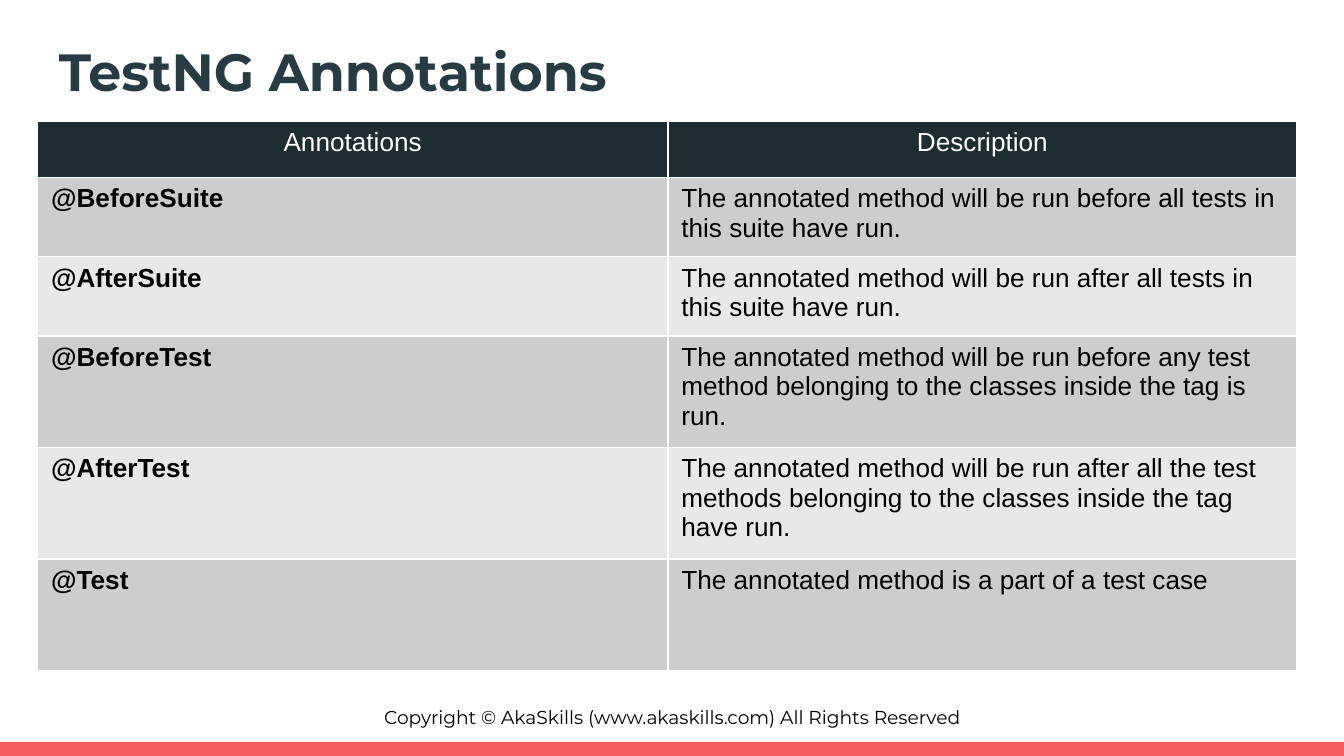
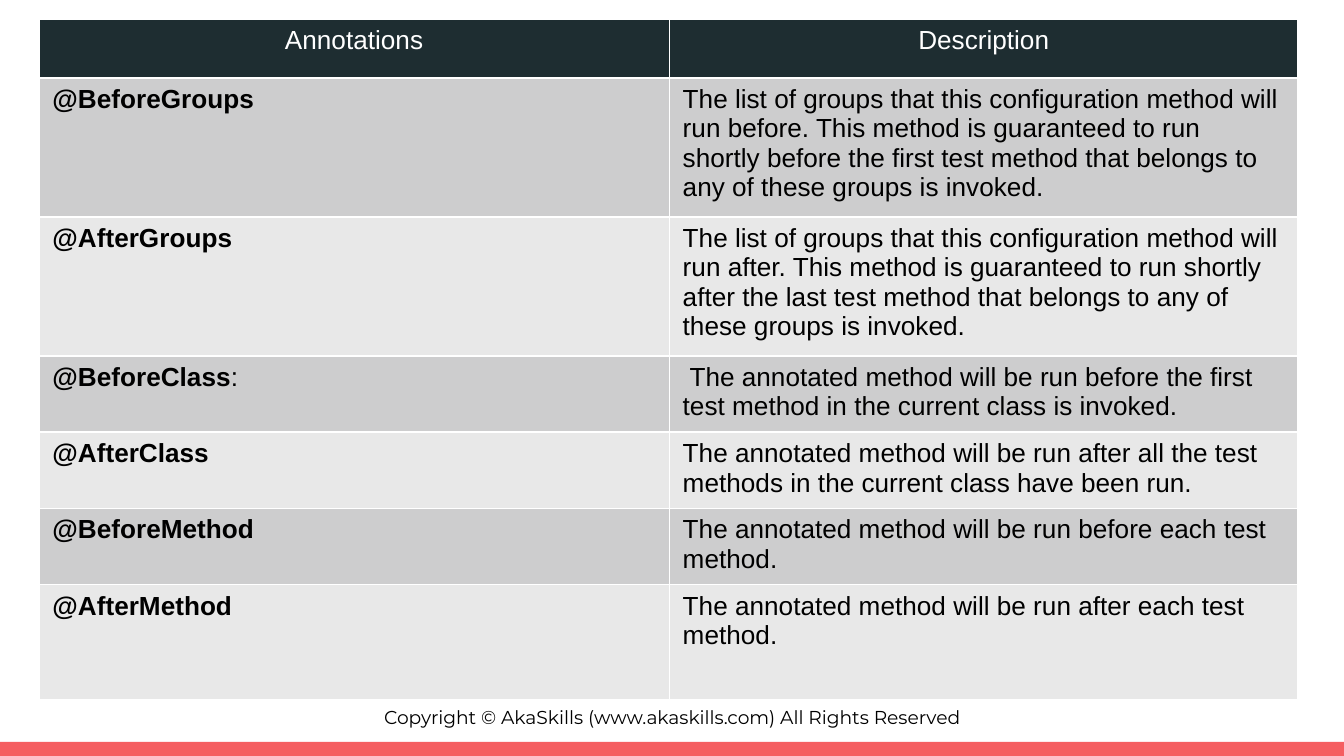
from pptx import Presentation
from pptx.dml.color import RGBColor
from pptx.enum import shapes, text
from pptx.util import Inches, Pt

WIDE = 10
HIGH = WIDE * 9 / 16
DARK, INK, CORAL = "1E2D31", "273C42", "F55E61"
BLACK, WHITE = "000000", "FFFFFF"
BANDS = "CDCDCE", "E8E8E8"
HEAD = "Annotations", "Description"
COLS = 4.69, 4.68
FOOT = "Copyright © AkaSkills (www.akaskills.com) All Rights Reserved"

# Each row: annotation, plain text after it, description, height
SLIDES = [
    dict(title="TestNG Annotations", left=0.28, top=0.9, head=0.42, rows=[
        ("@BeforeSuite", "", "The annotated method will be run before all tests in this suite have run.", 0.59),
        ("@AfterSuite", "", "The annotated method will be run after all tests in this suite have run.", 0.59),
        ("@BeforeTest", "", "The annotated method will be run before any test method belonging to "
         "the classes inside the tag is run.", 0.83),
        ("@AfterTest", "", "The annotated method will be run after all the test methods belonging to "
         "the classes inside the tag have run.", 0.83),
        ("@Test", "", "The annotated method is a part of a test case", 0.83),
    ]),
    dict(title=None, left=0.29, top=0.14, head=0.44, rows=[
        ("@BeforeGroups", "", "The list of groups that this configuration method will run before. "
         "This method is guaranteed to run shortly before the first test method that belongs to "
         "any of these groups is invoked.", 0.98),
        ("@AfterGroups", "", "The list of groups that this configuration method will run after. "
         "This method is guaranteed to run shortly after the last test method that belongs to "
         "any of these groups is invoked.", 0.98),
        ("@BeforeClass", ":", " The annotated method will be run before the first test method in "
         "the current class is invoked.", 0.54),
        ("@AfterClass", "", "The annotated method will be run after all the test methods in "
         "the current class have been run.", 0.54),
        ("@BeforeMethod", "", "The annotated method will be run before each test method.", 0.54),
        ("@AfterMethod", "", "The annotated method will be run after each test method.", 0.86),
    ]),
]


def rgb(code):
    return RGBColor.from_string(code)


def paint(fill, code):
    fill.solid()
    fill.fore_color.rgb = rgb(code)


def style(run, size, face, color, bold=False):
    font = run.font
    font.size, font.name, font.bold = Pt(size), face, bold
    font.color.rgb = rgb(color)


def label(slide, box, words, size, color, bold=False, align=text.PP_ALIGN.LEFT):
    frame = slide.shapes.add_textbox(*map(Inches, box)).text_frame
    frame.word_wrap = True
    frame.margin_left = frame.margin_right = Inches(0.1)
    frame.margin_top = frame.margin_bottom = Inches(0.1)
    frame.text = words
    para = frame.paragraphs[0]
    para.alignment = align
    style(para.runs[0], size, "Montserrat", color, bold)
    return frame


def footer(slide):
    frame = label(slide, (0, 5.17, WIDE, 0.33), FOOT, 10, BLACK, align=text.PP_ALIGN.CENTER)
    frame.auto_size = text.MSO_AUTO_SIZE.SHAPE_TO_FIT_TEXT
    band = slide.shapes.add_shape(shapes.MSO_SHAPE.RECTANGLE, 0, Inches(5.52), Inches(WIDE), Inches(0.11))
    band.shadow.inherit = False
    paint(band.fill, CORAL)
    band.line.fill.background()


def put(cell, parts, fill, color, align):
    """Fill a cell with (words, bold) parts."""
    paint(cell.fill, fill)
    para = cell.text_frame.paragraphs[0]
    para.alignment = align
    for words, bold in parts:
        if words:
            run = para.add_run()
            run.text = words
            style(run, 14, "Arial", color, bold)


def grid(slide, left, top, head, rows):
    highs = [head] + [row[-1] for row in rows]
    box = map(Inches, (left, top, sum(COLS), sum(highs)))
    table = slide.shapes.add_table(len(highs), len(COLS), *box).table
    for col, wide in zip(table.columns, COLS):
        col.width = Inches(wide)
    for row, high in zip(table.rows, highs):
        row.height = Inches(high)
    for c, words in enumerate(HEAD):
        put(table.cell(0, c), [(words, False)], DARK, WHITE, text.PP_ALIGN.CENTER)
    for r, (name, tail, about, _) in enumerate(rows):
        for c, parts in enumerate(([(name, True), (tail, False)], [(about, False)])):
            put(table.cell(r + 1, c), parts, BANDS[r % 2], BLACK, text.PP_ALIGN.LEFT)


def main():
    deck = Presentation()
    deck.slide_width, deck.slide_height = Inches(WIDE), Inches(HIGH)
    for page in SLIDES:
        slide = deck.slides.add_slide(deck.slide_layouts[6])
        footer(slide)
        if page["title"]:
            label(slide, (0.34, 0.19, 9.32, 0.69), page["title"], 28, INK, True)
        grid(slide, page["left"], page["top"], page["head"], page["rows"])
    deck.save("out.pptx")


if __name__ == "__main__":
    main()
